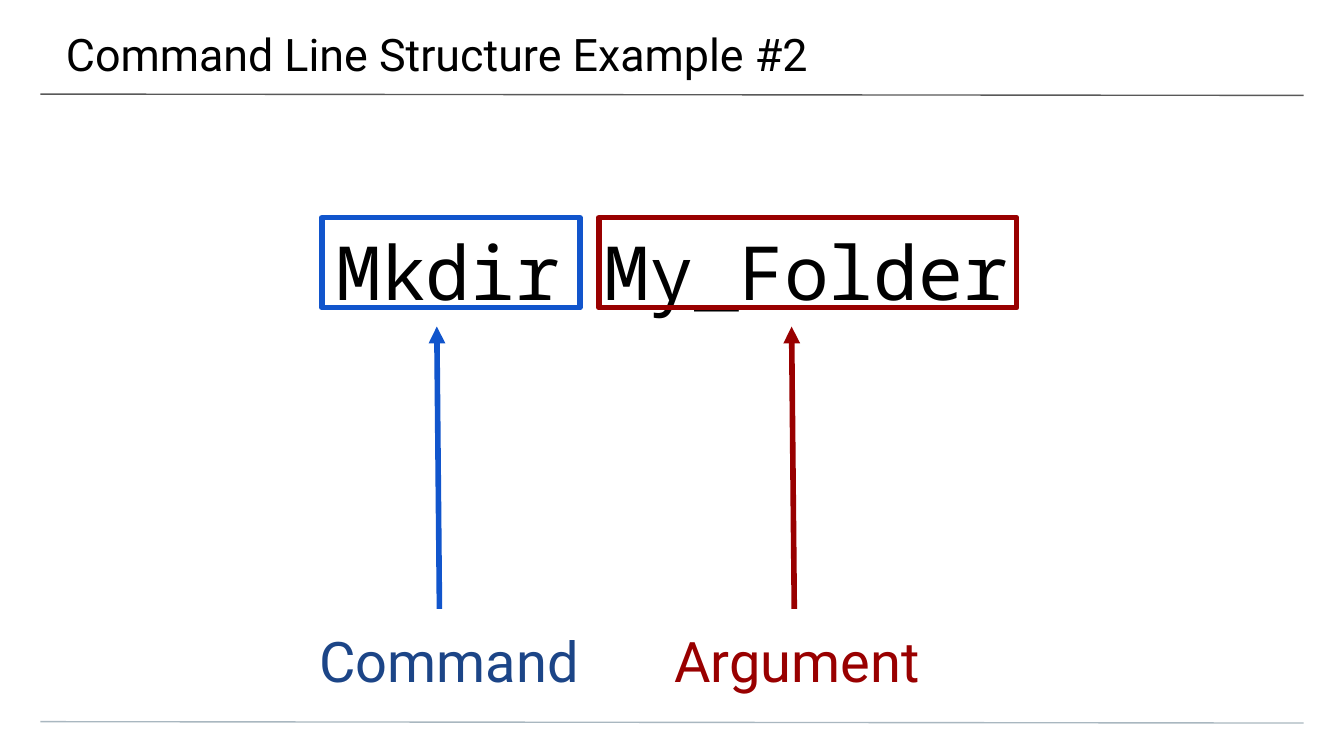
from lxml.etree import SubElement
from pptx import Presentation
from pptx.dml.color import RGBColor
from pptx.enum.shapes import MSO_CONNECTOR, MSO_SHAPE
from pptx.enum.text import MSO_ANCHOR, PP_ALIGN
from pptx.oxml.ns import qn
from pptx.util import Emu, Pt

PIXEL = 4572
BLACK = "000000"


def px(length):
    return Emu(length * PIXEL)


def color(hex_string):
    return RGBColor.from_string(hex_string)


def place(shape, box):
    shape.left, shape.top, shape.width, shape.height = map(px, box)


def write(shape, text, size, font_name, hex_string, insets,
          align=PP_ALIGN.LEFT, spacing=1.0):
    frame = shape.text_frame
    frame.text = text
    frame.word_wrap = True
    frame.vertical_anchor = MSO_ANCHOR.TOP
    (frame.margin_left, frame.margin_top,
     frame.margin_right, frame.margin_bottom) = map(px, insets)
    paragraph = frame.paragraphs[0]
    paragraph.alignment = align
    paragraph.line_spacing = spacing
    paragraph.space_before = Pt(0)
    font = paragraph.runs[0].font
    font.size = Pt(size)
    font.name = font_name
    font.bold = False
    font.color.rgb = color(hex_string)


def add_line(slide, start, end, hex_string, width, arrow=False):
    connector = slide.shapes.add_connector(
        MSO_CONNECTOR.STRAIGHT, *map(px, start + end))
    connector.line.color.rgb = color(hex_string)
    connector.line.width = Pt(width)
    if arrow:
        SubElement(connector.line._get_or_add_ln(), qn("a:tailEnd"), type="triangle")
    SubElement(connector._element.spPr, qn("a:effectLst"))


def add_header(slide, box):
    place(slide.shapes.title, box)
    write(slide.shapes.title, "Command Line Structure Example #2", 24, "Roboto",
          BLACK, (100, 40, 60, 20))


def add_rules(slide, box):
    left, top, width, height = box
    for offset, hex_string in ((0, "595959"), (height, "A9B7C0")):
        add_line(slide, (left, top + offset),
                 (left + width, top + offset + 2), hex_string, 0.75)


def add_command_line(slide, box):
    command_line = slide.placeholders[1]
    place(command_line, box)
    write(command_line, "Mkdir My_Folder", 40, "Noto Sans Mono", BLACK,
          (100, 20, 100, 0), PP_ALIGN.CENTER, 1.15)


def add_callout(slide, box, label_left, label, frame_color, label_color):
    left, top, width, height = box
    frame = slide.shapes.add_shape(MSO_SHAPE.RECTANGLE, *map(px, box))
    frame.shadow.inherit = False
    frame.fill.background()
    frame.line.color.rgb = color(frame_color)
    frame.line.width = Pt(3)
    add_line(slide, (label_left + 198, top + 582), (label_left + 194, top + 162),
             frame_color, 3, arrow=True)
    label_box = slide.shapes.add_textbox(
        *map(px, (label_left, top + 588, 434, 166)))
    write(label_box, label, 30, "Roboto", label_color, (20, 20, 20, 20))


def main():
    presentation = Presentation()
    presentation.slide_width = px(2000)
    presentation.slide_height = px(1125)
    slide = presentation.slides.add_slide(presentation.slide_layouts[0])
    add_rules(slide, (60, 140, 1880, 934))
    add_header(slide, (-2, 0, 2006, 116))
    add_command_line(slide, (0, 296, 2000, 190))
    add_callout(slide, (479, 324, 384, 134), 456, "Command", "1155CC", "1C4587")
    add_callout(slide, (891, 324, 622, 134), 984, "Argument", "990000", "990000")
    presentation.save("out.pptx")


if __name__ == "__main__":
    main()
